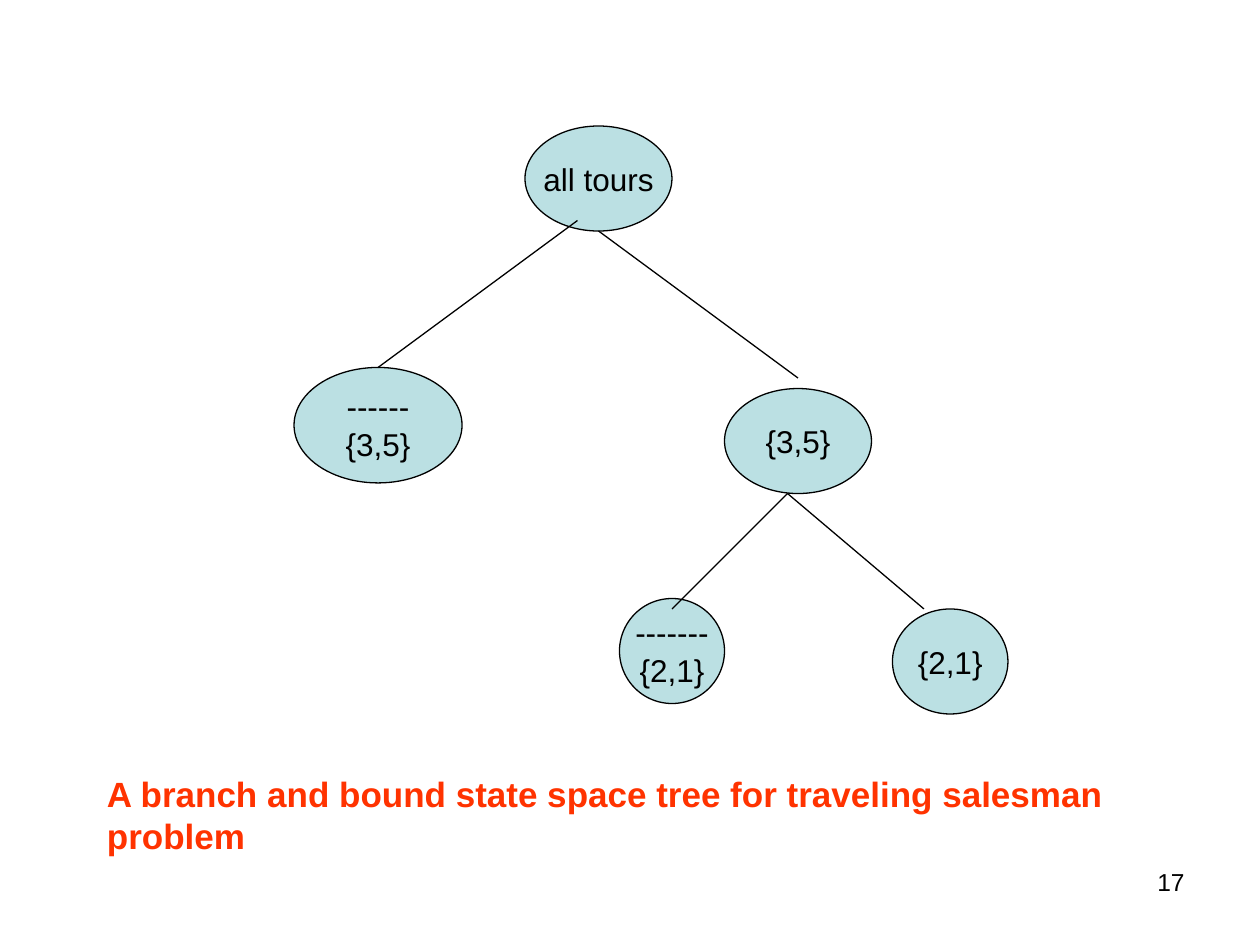
from pptx import Presentation
from pptx.dml.color import RGBColor
from pptx.enum.shapes import MSO_CONNECTOR, MSO_SHAPE
from pptx.enum.text import MSO_ANCHOR, PP_ALIGN
from pptx.oxml.ns import qn
from pptx.util import Inches, Pt
from lxml import etree

OVAL, LINE = MSO_SHAPE.OVAL, MSO_CONNECTOR.STRAIGHT
LEFT, MID, RIGHT = PP_ALIGN.LEFT, PP_ALIGN.CENTER, PP_ALIGN.RIGHT
TOP, CENTER = MSO_ANCHOR.TOP, MSO_ANCHOR.MIDDLE
WIDE, HIGH = 10, 7.5
COLS = 120
BLACK, TEAL, RED = "000000", "BBE0E3", "FF3300"

NODES = [
    (["all tours"], (50, 12, 14, 10)),
    (["------", "{3,5}"], (28, 35, 16, 11)),
    (["{3,5}"], (69, 37, 14, 10)),
    (["-------", "{2,1}"], (59, 57, 10, 10)),
    (["{2,1}"], (85, 58, 11, 10)),
]
EDGES = [
    (55, 21, 36, 35),
    (57, 22, 76, 36),
    (75, 47, 64, 58),
    (75, 47, 88, 58),
]
TITLE = "A branch and bound state space tree for traveling salesman problem"
PAGE = "17"


def grid(cells):
    """Turn grid cells into slide lengths."""
    return [Inches(WIDE * cell / COLS) for cell in cells]


def color(code):
    """Make a colour from a hex string."""
    return RGBColor.from_string(code)


def write(shape, lines, size=18, ink=BLACK, bold=False, align=LEFT, anchor=TOP, wrap=True):
    """Fill a shape with formatted paragraphs."""
    frame = shape.text_frame
    frame.word_wrap = wrap
    frame.vertical_anchor = anchor
    frame.text = "\n".join(lines)
    for para in frame.paragraphs:
        para.alignment = align
        font = para.font
        font.name, font.size, font.bold = "Arial", Pt(size), bold
        font.color.rgb = color(ink)


def outline(shape):
    """Give a shape or line the thin black stroke."""
    shape.line.color.rgb = color(BLACK)
    shape.line.width = Pt(0.75)


def node(slide, lines, cells):
    """Draw one tree node."""
    oval = slide.shapes.add_shape(OVAL, *grid(cells))
    oval.shadow.inherit = False
    oval.fill.solid()
    oval.fill.fore_color.rgb = color(TEAL)
    outline(oval)
    write(oval, lines, align=MID, anchor=CENTER, wrap=False)


def edge(slide, cells):
    """Draw one branch of the tree."""
    line = slide.shapes.add_connector(LINE, *grid(cells))
    outline(line)
    etree.SubElement(line._element.spPr, qn("a:effectLst"))


def main():
    """Build and save the slide."""
    deck = Presentation()
    deck.slide_width, deck.slide_height = Inches(WIDE), Inches(HIGH)
    slide = deck.slides.add_slide(deck.slide_layouts[6])
    for lines, cells in NODES:
        node(slide, lines, cells)
    for cells in EDGES:
        edge(slide, cells)
    title = slide.shapes.add_textbox(*grid((9, 73, 98, 9.25)))
    write(title, [TITLE], size=20, ink=RED, bold=True)
    page = slide.shapes.add_textbox(*grid((86, 82, 28, 6.25)))
    write(page, [PAGE], size=14, align=RIGHT)
    deck.save("out.pptx")


if __name__ == "__main__":
    main()
